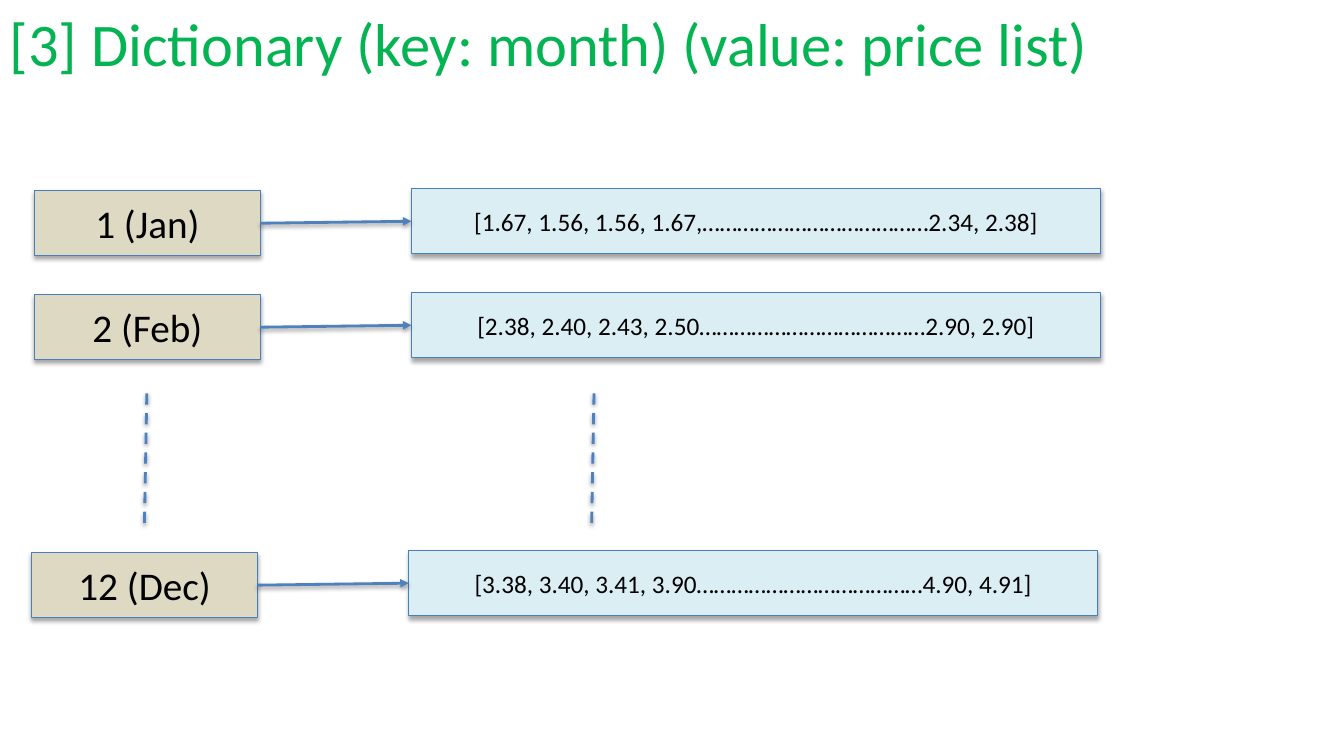
"""Build a slide that maps months to price lists."""
from dataclasses import dataclass

from lxml import etree
from pptx import Presentation
from pptx.dml.color import RGBColor
from pptx.enum import dml, shapes, text
from pptx.oxml import ns
from pptx.util import Cm, Pt

GREEN = RGBColor(0x04, 0xB4, 0x52)
BLACK = RGBColor(0x00, 0x00, 0x00)
SAND = RGBColor(0xDD, 0xD9, 0xC3)
ICE = RGBColor(0xDB, 0xEE, 0xF4)
EDGE = RGBColor(0x4B, 0x7E, 0xBC)
BLUE = RGBColor(0x4F, 0x81, 0xBD)

KEY_WIDE, LIST_WIDE, HIGH = 5.69, 17.37, 1.65
LIST_DX, LIST_DY = 9.5, -0.05
DOTS = "…" * 13


@dataclass
class Month:
    key: str
    prices: str
    left: float
    top: float


@dataclass
class Gap:
    left: float
    top: float = 9.91
    lean: float = -0.06
    high: float = 3.3


MONTHS = [
    Month("1 (Jan)", f"[1.67, 1.56, 1.56, 1.67,{DOTS}2.34, 2.38]", 0.87, 4.8),
    Month("2 (Feb)", f"[2.38, 2.40, 2.43, 2.50{DOTS}2.90, 2.90]", 0.87, 7.42),
    Month("12 (Dec)", f"[3.38, 3.40, 3.41, 3.90{DOTS}4.90, 4.91]", 0.8, 13.92),
]
GAPS = [Gap(3.7), Gap(14.97)]


def write(shape, words: str, *, size: float, color: RGBColor = BLACK,
          align=text.PP_ALIGN.CENTER) -> None:
    """Put formatted text into a shape."""
    frame = shape.text_frame
    frame.word_wrap = True
    frame.vertical_anchor = text.MSO_ANCHOR.MIDDLE
    para = frame.paragraphs[0]
    para.alignment = align
    run = para.add_run()
    run.text = words
    run.font.name = "Calibri"
    run.font.size = Pt(size)
    run.font.color.rgb = color


def shade(props, dist: float, alpha: int) -> None:
    """Add a soft shadow that falls straight down."""
    effect = etree.SubElement(props, ns.qn("a:effectLst"))
    outer = etree.SubElement(
        effect, ns.qn("a:outerShdw"), blurRad=str(Pt(3.1)),
        dist=str(Pt(dist)), dir="5400000", rotWithShape="0")
    color = etree.SubElement(outer, ns.qn("a:srgbClr"), val=str(BLACK))
    etree.SubElement(color, ns.qn("a:alpha"), val=str(alpha * 1000))


def box(slide, words: str, left: float, top: float, wide: float,
        fill: RGBColor, size: float):
    """Draw a shaded rectangle with centred text."""
    rect = slide.shapes.add_shape(
        shapes.MSO_SHAPE.RECTANGLE, Cm(left), Cm(top), Cm(wide), Cm(HIGH))
    rect.fill.solid()
    rect.fill.fore_color.rgb = fill
    rect.line.color.rgb = EDGE
    rect.line.width = Pt(0.75)
    shade(rect._element.spPr, 1.8, 35)
    write(rect, words, size=size)
    return rect


def link(slide, left: float = 0, top: float = 0, right: float = 0,
         low: float = 0, *, dash: bool = False, arrow: bool = False):
    """Draw a shaded straight line."""
    line = slide.shapes.add_connector(
        shapes.MSO_CONNECTOR.STRAIGHT, Cm(left), Cm(top), Cm(right), Cm(low))
    line.line.color.rgb = BLUE
    line.line.width = Pt(2)
    if dash:
        line.line.dash_style = dml.MSO_LINE.DASH
    props = line._element.spPr
    if arrow:
        etree.SubElement(props.find(ns.qn("a:ln")), ns.qn("a:tailEnd"),
                         type="triangle")
    shade(props, 1.6, 38)
    return line


def entry(slide, month: Month) -> None:
    """Draw one month, its price list and the arrow between them."""
    key = box(slide, month.key, month.left, month.top, KEY_WIDE, SAND, 28)
    prices = box(slide, month.prices, month.left + LIST_DX,
                 month.top + LIST_DY, LIST_WIDE, ICE, 18)
    arrow = link(slide, arrow=True)
    arrow.begin_connect(key, 3)
    arrow.end_connect(prices, 1)


def main() -> None:
    """Build and save the slide."""
    deck = Presentation()
    deck.slide_width, deck.slide_height = Cm(33.87), Cm(19.05)
    slide = deck.slides.add_slide(deck.slide_layouts[6])
    title = slide.shapes.add_textbox(0, 0, Cm(29.77), Cm(2.11))
    write(title, "[3] Dictionary (key: month) (value: price list)",
          size=43.2, color=GREEN, align=text.PP_ALIGN.LEFT)
    for month in MONTHS:
        entry(slide, month)
    for gap in GAPS:
        link(slide, gap.left, gap.top, gap.left + gap.lean,
             gap.top + gap.high, dash=True)
    deck.save("out.pptx")


if __name__ == "__main__":
    main()
